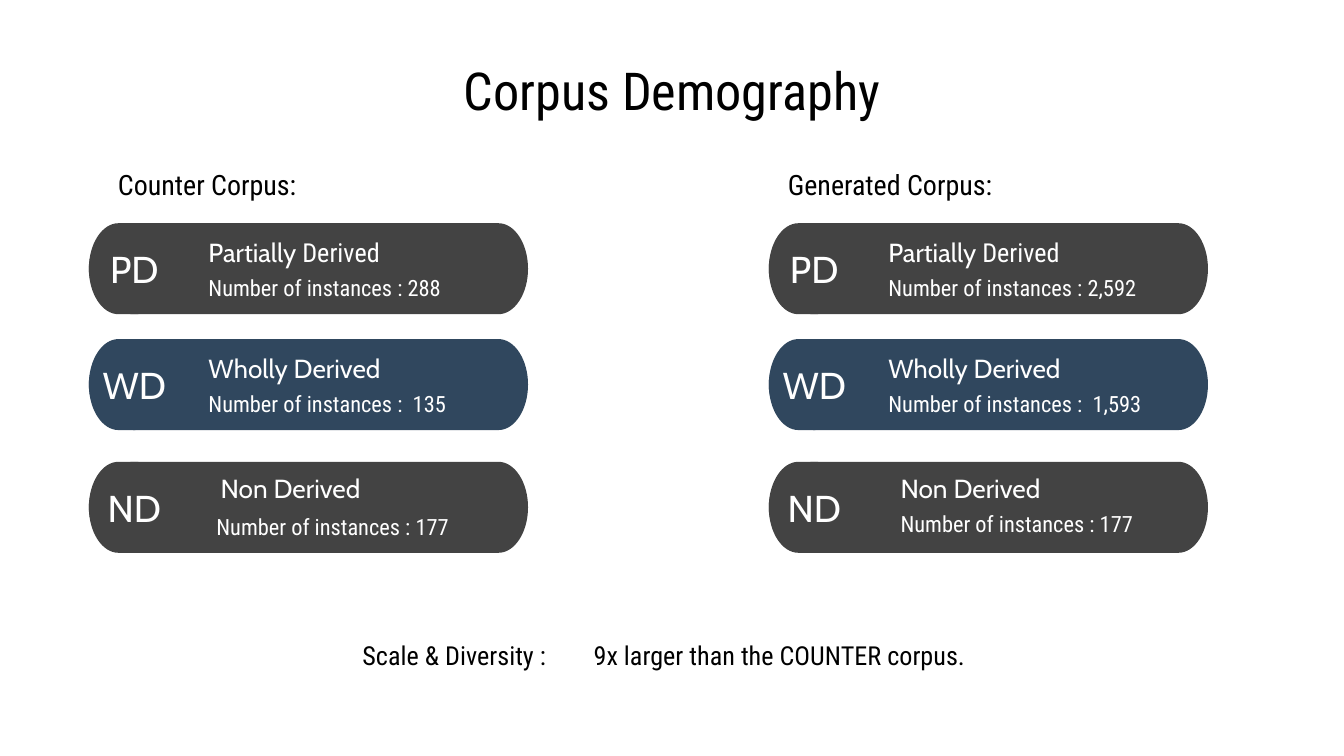
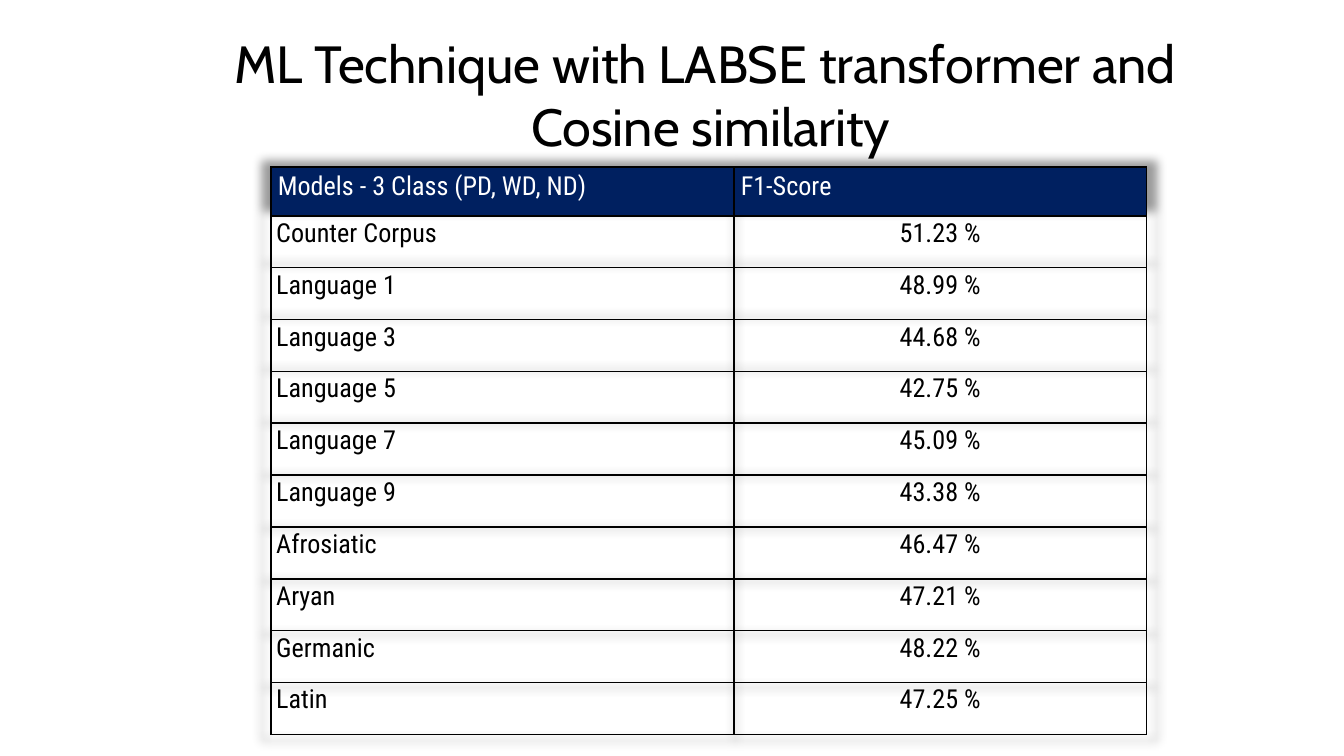
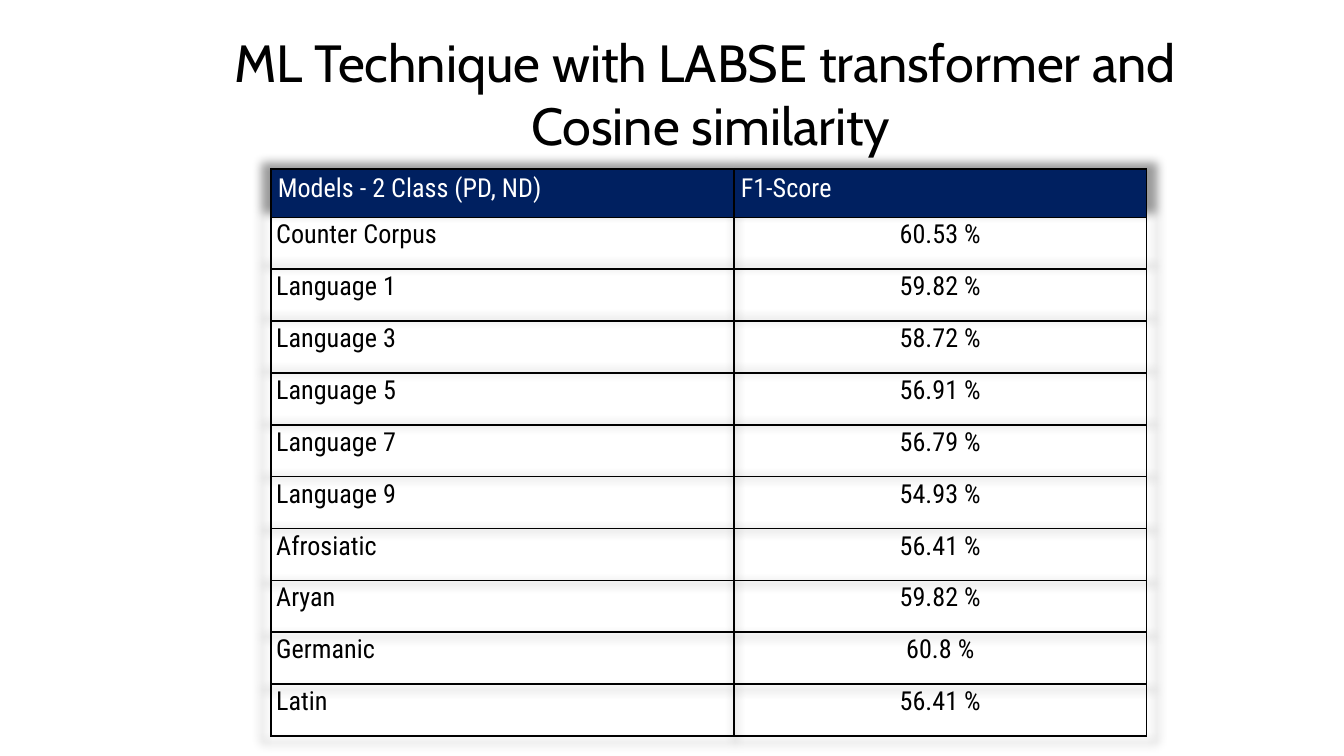
"""Builds three slides on corpus sizes and classification scores."""
from lxml.etree import SubElement
from pptx import Presentation
from pptx.dml.color import RGBColor
from pptx.enum.text import MSO_ANCHOR as Anchor, MSO_AUTO_SIZE as AutoSize, PP_ALIGN as Align
from pptx.oxml import parse_xml
from pptx.oxml.ns import nsdecls, qn
from pptx.util import Cm, Pt

BLACK = RGBColor(0x00, 0x00, 0x00)
WHITE = RGBColor(0xFF, 0xFF, 0xFF)
CHARCOAL = RGBColor(0x43, 0x43, 0x43)
SLATE = RGBColor(0x30, 0x47, 0x5E)
NAVY = RGBColor(0x00, 0x20, 0x60)

CABIN = "Cabin"
ROBOTO = "Roboto Condensed"
INSET = 0.25

BAND_WIDTH, BAND_HEIGHT, BAND_END = 8.3, 1.72, 0.56
ARC = 0.55
CATEGORIES = [
    ("PD", [("Partially ", CABIN), ("Derived", ROBOTO)], CHARCOAL, 4.22, (2.01, 0)),
    ("WD", [("Wholly Derived", CABIN)], SLATE, 6.41, (2.01, 0)),
    ("ND", [("Non Derived", CABIN)], CHARCOAL, 8.73, (2.24, -0.05)),
]
COUNT_AT = (2.01, 0.78)
CORPORA = [
    ("Counter Corpus:", 1.98, 1.68,
     [("288", COUNT_AT), (" 135", COUNT_AT), ("177", (2.16, 0.79))]),
    ("Generated Corpus:", 14.64, 14.53,
     [("2,592", COUNT_AT), (" 1,593", COUNT_AT), ("177", (2.24, 0.74))]),
]

SCORE_TITLE = "ML Technique with LABSE transformer and \nCosine similarity"
MODELS = ["Counter Corpus", "Language 1", "Language 3", "Language 5", "Language 7",
          "Language 9", "Afrosiatic", "Aryan", "Germanic", "Latin"]
THREE_CLASS = ["51.23", "48.99", "44.68", "42.75", "45.09", "43.38", "46.47", "47.21", "48.22", "47.25"]
TWO_CLASS = ["60.53", "59.82", "58.72", "56.91", "56.79", "54.93", "56.41", "59.82", "60.8", "56.41"]


def set_insets(target, across, down):
    """Set the inner margins of a text frame or a cell."""
    target.margin_left = target.margin_right = Cm(across)
    target.margin_top = target.margin_bottom = Cm(down)


def style_run(span, font, size, colour):
    """Give a run its font, size and colour."""
    span.font.name = font
    span.font.size = Pt(size)
    span.font.color.rgb = colour


def style_frame(frame, font, size, colour, align):
    """Align every paragraph of a frame and style its runs."""
    for para in frame.paragraphs:
        para.alignment = align
        for span in para.runs:
            style_run(span, font, size, colour)


def add_page(deck, title, box):
    """Add a slide whose title placeholder fills the given box."""
    page = deck.slides.add_slide(deck.slide_layouts[5])
    holder = page.shapes.title
    holder.left, holder.top, holder.width, holder.height = map(Cm, box)
    frame = holder.text_frame
    frame.text = title
    frame.auto_size = AutoSize.NONE
    frame.vertical_anchor = Anchor.MIDDLE
    set_insets(frame, INSET, INSET)
    return page


def add_label(page, box, spans, size, colour, anchor=Anchor.TOP, down=INSET):
    """Add a one-line text box made of (text, font) spans."""
    frame = page.shapes.add_textbox(*map(Cm, box)).text_frame
    frame.word_wrap = True
    frame.vertical_anchor = anchor
    set_insets(frame, INSET, down)
    for text, font in spans:
        span = frame.paragraphs[0].add_run()
        span.text = text
        style_run(span, font, size, colour)
    return frame


def bend_lines(shape, starts):
    """Turn the three lines after each start into one cubic curve."""
    lines = list(shape._element.iter(qn("a:lnTo")))
    for start in starts:
        group = lines[start:start + 3]
        curve = parse_xml(f'<a:cubicBezTo {nsdecls("a")}/>')
        group[0].addprevious(curve)
        for line in group:
            curve.append(line[0])
            line.getparent().remove(line)


def add_band(page, left, top, width, end, colour):
    """Draw a band with half-ellipse ends, or a disc when the ends meet."""
    right, bottom, middle = left + width, top + BAND_HEIGHT, top + BAND_HEIGHT / 2
    across, down = ARC * end, ARC * BAND_HEIGHT / 2
    near, far = left + end, right - end
    points = [
        (near - across, top), (left, middle - down), (left, middle),
        (left, middle + down), (near - across, bottom), (near, bottom),
        (far, bottom),
        (far + across, bottom), (right, middle + down), (right, middle),
        (right, middle - down), (far + across, top), (far, top),
    ]
    builder = page.shapes.build_freeform(Cm(near), Cm(top))
    builder.add_line_segments([(Cm(x), Cm(y)) for x, y in points], close=True)
    band = builder.convert_to_shape()
    bend_lines(band, (0, 3, 7, 10))
    band.shadow.inherit = False
    band.fill.solid()
    band.fill.fore_color.rgb = colour
    band.line.fill.background()
    return band


def add_category(page, left, category, count, count_at):
    """Add one category band with its code, name and count."""
    code, name, colour, top, name_at = category
    add_band(page, left, top, BAND_WIDTH, BAND_END, colour)
    badge = add_band(page, left, top, BAND_HEIGHT, BAND_HEIGHT / 2, colour)
    frame = badge.text_frame
    frame.text = code
    frame.word_wrap = True
    frame.vertical_anchor = Anchor.MIDDLE
    set_insets(frame, INSET, INSET)
    style_frame(frame, CABIN, 20, WHITE, Align.CENTER)
    add_label(page, (left + name_at[0], top + name_at[1], 5.82, 0.79), name, 14, WHITE)
    add_label(page, (left + count_at[0], top + count_at[1], 6.02, 0.94),
              [(f"Number of instances : {count}", ROBOTO)], 12, WHITE, Anchor.BOTTOM)


def add_corpus(page, heading, heading_left, left, counts):
    """Add a corpus heading above its category bands."""
    add_label(page, (heading_left, 3.12, 5.11, 0.74), [(heading, ROBOTO)], 15, BLACK, Anchor.MIDDLE)
    for category, (count, count_at) in zip(CATEGORIES, counts):
        add_category(page, left, category, count, count_at)


def add_demography_page(deck):
    """Add the slide that compares the two corpora."""
    page = add_page(deck, "Corpus Demography", (1.97, 1.14, 21.46, 1.12))
    style_frame(page.shapes.title.text_frame, ROBOTO, 28, BLACK, Align.CENTER)
    for corpus in CORPORA:
        add_corpus(page, *corpus)
    remark = add_label(page, (6.6, 11.95, 13.77, 0.86),
                       [("Scale & Diversity :\t9x larger than the COUNTER corpus.", ROBOTO)],
                       14, BLACK, down=0.13)
    remark.auto_size = AutoSize.SHAPE_TO_FIT_TEXT
    tabs = SubElement(remark.paragraphs[0]._p.get_or_add_pPr(), qn("a:tabLst"))
    SubElement(tabs, qn("a:tab"), pos=str(Cm(4.37)), algn="l")


def add_borders(cell):
    """Draw thin black lines on all sides of a cell."""
    properties = cell._tc.get_or_add_tcPr()
    for index, side in enumerate("LRTB"):
        properties.insert(index, parse_xml(
            f'<a:ln{side} {nsdecls("a")} w="{Pt(1)}"><a:solidFill>'
            f'<a:srgbClr val="{BLACK}"/></a:solidFill></a:ln{side}>'))


def add_table_shadow(table):
    """Put a soft centred shadow behind a table."""
    table._tbl.tblPr.insert(0, parse_xml(
        f'<a:effectLst {nsdecls("a")}><a:outerShdw blurRad="63500" sx="102000" sy="102000" '
        f'algn="ctr" rotWithShape="0"><a:srgbClr val="{BLACK}"><a:alpha val="40000"/>'
        '</a:srgbClr></a:outerShdw></a:effectLst>'))


def fill_cell(cell, text, is_header, align):
    """Write a table cell in header or body style."""
    cell.text = text
    add_borders(cell)
    para = cell.text_frame.paragraphs[0]
    if is_header:
        cell.fill.solid()
        cell.fill.fore_color.rgb = NAVY
        set_insets(cell, 0.13, 0.08)
        para.space_after = Pt(12)
    else:
        cell.fill.background()
        set_insets(cell, 0.1, 0)
        para.line_spacing = 1.07
    style_frame(cell.text_frame, ROBOTO, 14, WHITE if is_header else BLACK, align)


def add_score_table(page, top, heading, scores):
    """Add the table of F1 scores by model."""
    rows = [(heading, "F1-Score")] + [(model, f"{score} %") for model, score in zip(MODELS, scores)]
    table = page.shapes.add_table(len(rows), 2, Cm(5.12), Cm(top), Cm(16.55), Cm(10.72)).table
    table.first_row = table.horz_banding = False
    add_table_shadow(table)
    for column, width in zip(table.columns, (8.75, 7.8)):
        column.width = Cm(width)
    for row, texts in enumerate(rows):
        is_header = row == 0
        table.rows[row].height = Cm(0.92 if is_header else 0.98)
        aligns = (Align.JUSTIFY, Align.JUSTIFY) if is_header else (Align.LEFT, Align.CENTER)
        for column, (text, align) in enumerate(zip(texts, aligns)):
            fill_cell(table.cell(row, column), text, is_header, align)


def add_score_page(deck, title_top, table_top, heading, scores):
    """Add a slide with a table of F1 scores."""
    page = add_page(deck, SCORE_TITLE, (1.39, title_top, 24.08, 2.69))
    style_frame(page.shapes.title.text_frame, CABIN, 28, BLACK, Align.CENTER)
    add_score_table(page, table_top, heading, scores)


def main():
    """Build and save the deck."""
    deck = Presentation()
    deck.slide_width, deck.slide_height = Cm(25.4), Cm(14.29)
    add_demography_page(deck)
    add_score_page(deck, 0.44, 3.16, "Models - 3 Class (PD, WD, ND)", THREE_CLASS)
    add_score_page(deck, 0.41, 3.19, "Models - 2 Class (PD, ND)", TWO_CLASS)
    deck.save("out.pptx")


if __name__ == "__main__":
    main()
